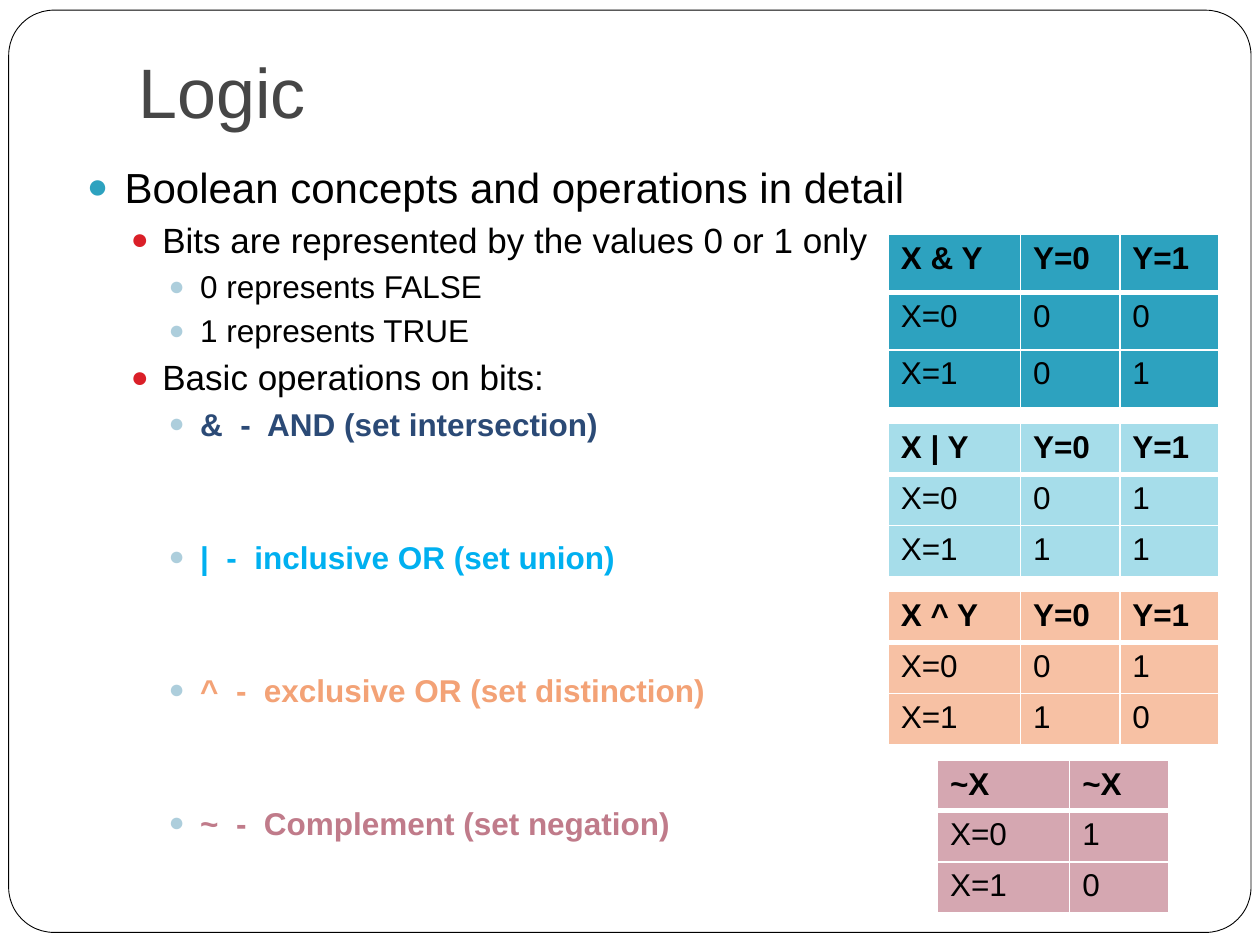
from pptx import Presentation
from pptx.dml.color import RGBColor
from pptx.enum.shapes import MSO_SHAPE
from pptx.enum.text import MSO_ANCHOR
from pptx.oxml import parse_xml
from pptx.oxml.ns import nsdecls
from pptx.util import Pt

# Indent level: left margin, hanging indent, space before, size, bullet colour
LEVELS = [
    (21.6, 21.6, 5.8, 24, "2DA2BF"),
    (43.2, 18, 3.8, 20, "DA1F28"),
    (64.8, 18, 3.8, 18, "ADCEDC"),
]
OPERATION_GAP = 50.6  # room between two operations, two text lines

# Text, level, colour, bold, extra space before
OUTLINE = [
    ("Boolean concepts and operations in detail", 0, "000000", False, 0),
    ("Bits are represented by the values 0 or 1 only", 1, "000000", False, 0),
    ("0 represents FALSE", 2, "000000", False, 0),
    ("1 represents TRUE", 2, "000000", False, 0),
    ("Basic operations on bits:", 1, "000000", False, 0),
    ("&  -  AND (set intersection)", 2, "2B4A76", True, 0),
    ("|  -  inclusive OR (set union)", 2, "00B0F0", True, OPERATION_GAP),
    ("^  -  exclusive OR (set distinction)", 2, "F3A276", True, OPERATION_GAP),
    ("~  -  Complement (set negation)", 2, "C07B8A", True, OPERATION_GAP),
]

# Left, top, row heights, fill, header, results for X=0 and X=1
TRUTH_TABLES = [
    (507.6, 134.1, [32.9] * 3, "2DA2BF", ["X & Y", "Y=0", "Y=1"], ["00", "01"]),
    (507.6, 241.9, [29.2] * 3, "A6DDEA", ["X | Y", "Y=0", "Y=1"], ["01", "11"]),
    (507.6, 337.9, [29.2] * 3, "F7C1A4", ["X ^ Y", "Y=0", "Y=1"], ["01", "10"]),
    (535.7, 434.4, [26.6, 29.2, 29.2], "D5A7B1", ["~X", "~X"], ["1", "0"]),
]


def color(value):
    """Turn a hex string into a colour."""
    return RGBColor.from_string(value)


class SlideBuilder:
    """Holds the style and the current slide."""

    font = "Arial"
    first_column, value_column = 75.6, 56.7

    def __init__(self, slide):
        """Keep the slide to draw on."""
        self.slide = slide

    def style(self, paragraph, size, text_color="000000", bold=False):
        """Format every run of a paragraph."""
        for run in paragraph.runs:
            run.font.name = self.font
            run.font.size = Pt(size)
            run.font.bold = bold
            run.font.color.rgb = color(text_color)

    def frame(self, left, top, width, height, radius):
        """Draw the rounded page frame."""
        shape = self.slide.shapes.add_shape(
            MSO_SHAPE.ROUNDED_RECTANGLE, Pt(left), Pt(top), Pt(width), Pt(height))
        shape.adjustments[0] = radius
        shape.shadow.inherit = False
        shape.fill.solid()
        shape.fill.fore_color.rgb = color("FFFFFF")
        shape.line.color.rgb = color("000000")
        shape.line.width = Pt(0.5)

    def text_box(self, left, top, width, height):
        """Add a wrapping text box and return its text frame."""
        shape = self.slide.shapes.add_textbox(Pt(left), Pt(top), Pt(width), Pt(height))
        shape.text_frame.word_wrap = True
        return shape.text_frame

    def title(self, text, left, top, width, height):
        """Add the slide title, set on the bottom of its box."""
        text_frame = self.text_box(left, top, width, height)
        text_frame.vertical_anchor = MSO_ANCHOR.BOTTOM
        text_frame.margin_bottom = Pt(7.2)
        text_frame.text = text
        self.style(text_frame.paragraphs[0], 40, "464646")

    def bullet(self, paragraph, margin, hanging, bullet_color):
        """Give a paragraph a hanging round bullet."""
        properties = paragraph._p.get_or_add_pPr()
        properties.set("marL", str(Pt(margin)))
        properties.set("indent", str(-Pt(hanging)))
        for element in (
            f'<a:buClr {nsdecls("a")}><a:srgbClr val="{bullet_color}"/></a:buClr>',
            f'<a:buSzPct {nsdecls("a")} val="85000"/>',
            f'<a:buFont {nsdecls("a")} typeface="{self.font}"/>',
            f'<a:buChar {nsdecls("a")} char="●"/>',
        ):
            properties.append(parse_xml(element))

    def outline(self, items, left, top, width, height):
        """Add the bulleted outline."""
        text_frame = self.text_box(left, top, width, height)
        text_frame.text = "\n".join(item[0] for item in items)
        for paragraph, item in zip(text_frame.paragraphs, items):
            _, level, text_color, bold, gap = item
            margin, hanging, space, size, bullet_color = LEVELS[level]
            paragraph.level = level
            paragraph.space_before = Pt(space + gap)
            self.bullet(paragraph, margin, hanging, bullet_color)
            self.style(paragraph, size, text_color, bold)

    def borders(self, cell, bottom):
        """Draw white borders around a cell, placed before its fill."""
        properties = cell._tc.get_or_add_tcPr()
        widths = {"lnL": 1, "lnR": 1, "lnT": 1, "lnB": bottom}
        for index, (side, width) in enumerate(widths.items()):
            properties.insert(index, parse_xml(
                f'<a:{side} {nsdecls("a")} w="{Pt(width)}"><a:solidFill>'
                f'<a:srgbClr val="FFFFFF"/></a:solidFill></a:{side}>'))

    def truth_table(self, left, top, heights, fill, header, results):
        """Add a truth table with a bold header row."""
        rows = [header] + [[f"X={x}", *values] for x, values in enumerate(results)]
        widths = [self.first_column] + [self.value_column] * (len(header) - 1)
        table = self.slide.shapes.add_table(
            len(rows), len(widths), Pt(left), Pt(top),
            Pt(sum(widths)), Pt(sum(heights))).table
        for column, width in zip(table.columns, widths):
            column.width = Pt(width)
        for row_index, (row, height) in enumerate(zip(rows, heights)):
            table.rows[row_index].height = Pt(height)
            is_header = row_index == 0
            for column_index, text in enumerate(row):
                cell = table.cell(row_index, column_index)
                cell.text_frame.text = text
                cell.fill.solid()
                cell.fill.fore_color.rgb = color(fill)
                self.style(cell.text_frame.paragraphs[0], 18, bold=is_header)
                self.borders(cell, 3 if is_header else 1)
                if row_index == 1:
                    cell._tc.tcPr.find("{*}lnT").set("w", str(Pt(3)))


presentation = Presentation()
presentation.slide_width, presentation.slide_height = Pt(720), Pt(540)
builder = SlideBuilder(presentation.slides.add_slide(presentation.slide_layouts[6]))
builder.frame(5, 5.8, 709.9, 527, 0.049)
builder.title("Logic", 72, 21.6, 612, 61.2)
builder.outline(OUTLINE, 42.5, 88.6, 641.5, 430.6)
for truth_table in TRUTH_TABLES:
    builder.truth_table(*truth_table)
presentation.save("out.pptx")
